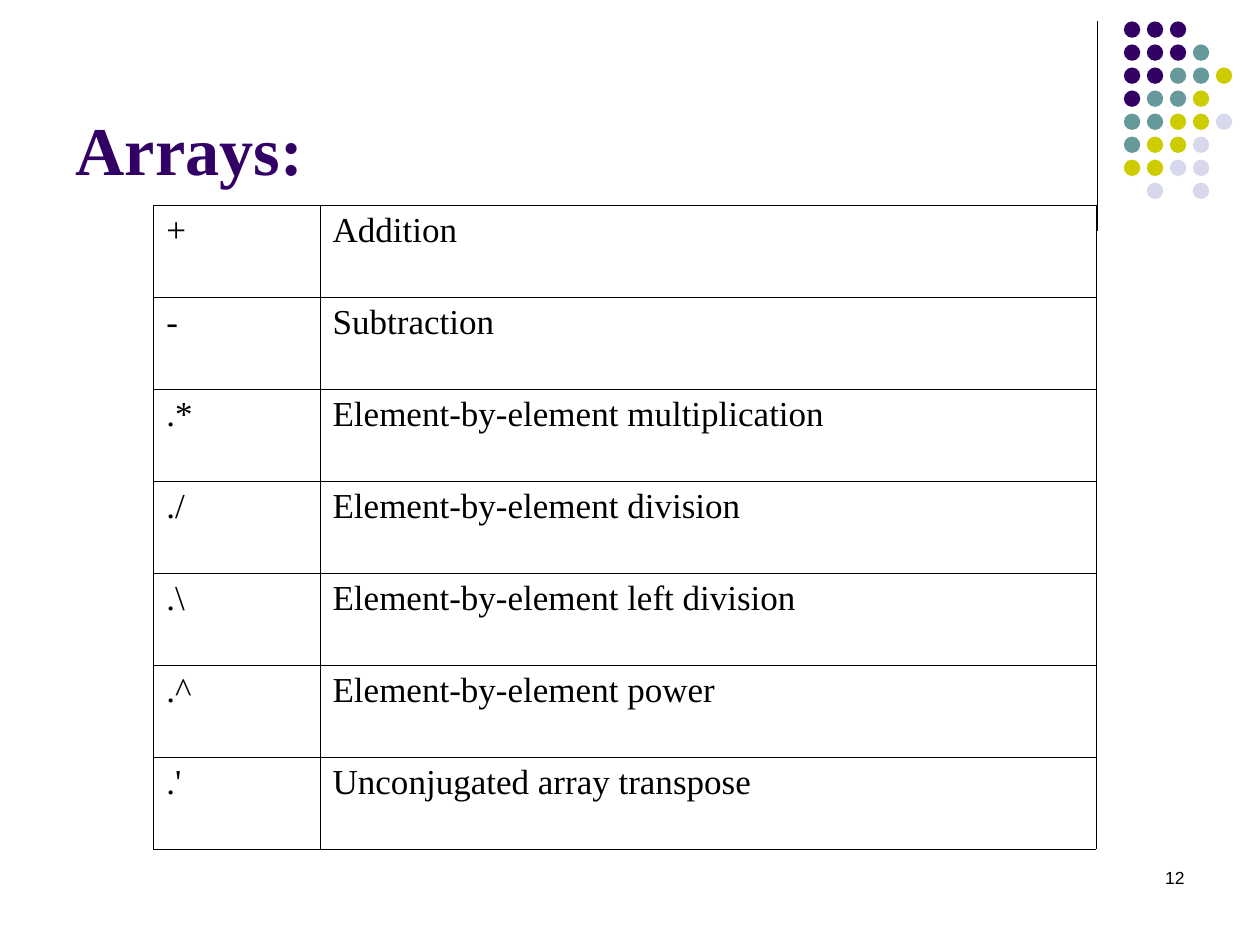
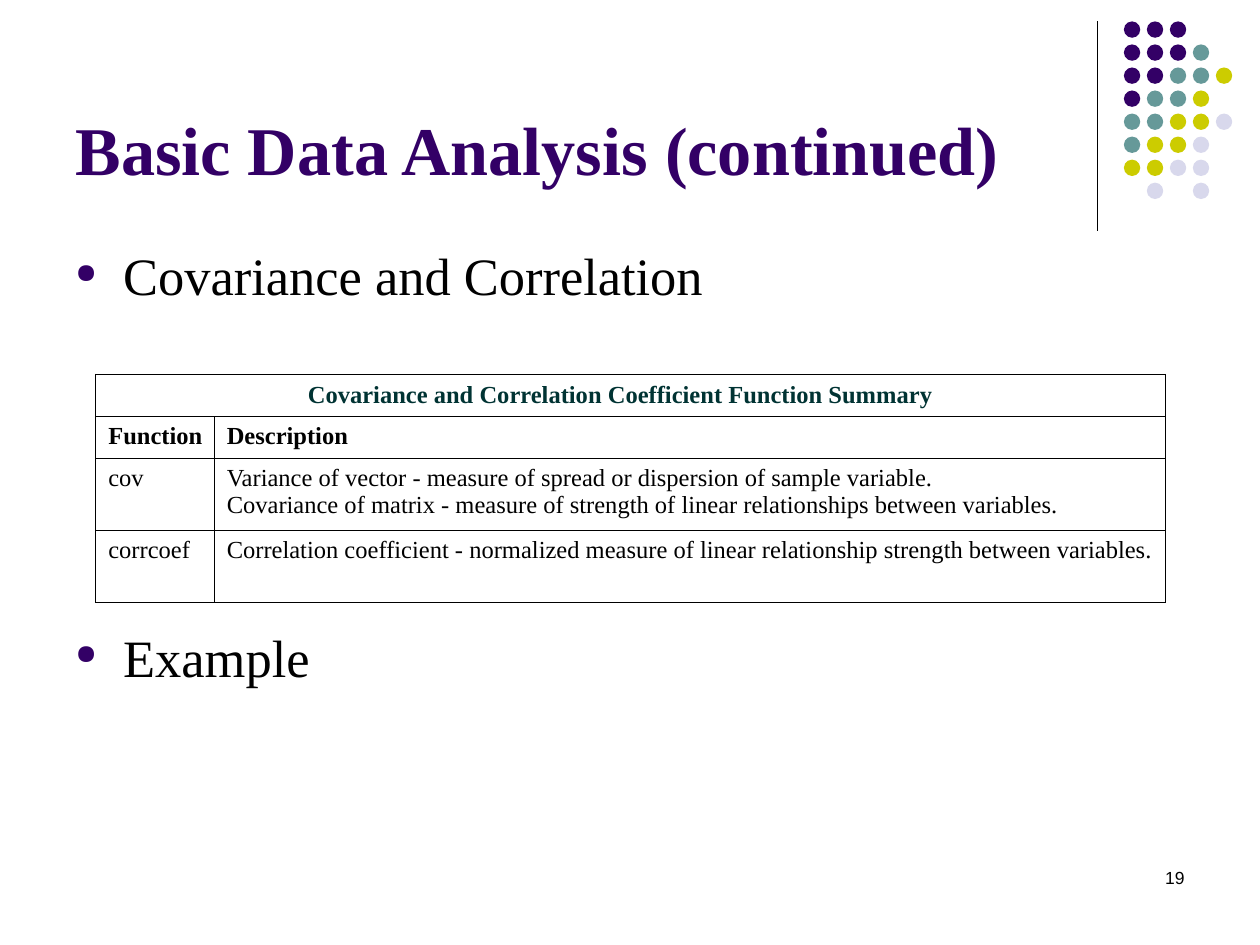
import pptx
import pptx.dml.color
import pptx.enum.shapes
import pptx.enum.text
import pptx.oxml.ns
import pptx.util
from lxml import etree
from pptx.util import Inches

PURPLE = "330066"
TEAL = "669999"
LIME = "CCCC00"
LAVENDER = "D8D8EC"
DARK_TEAL = "003333"
BLACK = "000000"
SERIF = "Times New Roman"
SANS = "Arial"

TITLE_BOX = (0.5, 0.13, 8.25, 1.42)
NUMBER_BOX = (7.17, 6.83, 2.33, 0.5)
DOTS_BOX = (8.92, 0.17, 0.86, 1.41)
DOT_SIZE = 0.13
DOT_COLOURS = {"P": PURPLE, "T": TEAL, "L": LIME, "V": LAVENDER}
DOT_ROWS = ["PPP  ", "PPPT ", "PPTTL", "PTTL ", "TTLLV", "TLLV ", "LLVV ", " V V "]

OPERATORS = [
    ("+", "Addition"),
    ("-", "Subtraction"),
    (".*", "Element-by-element multiplication"),
    ("./", "Element-by-element division"),
    (".\\", "Element-by-element left division"),
    (".^", "Element-by-element power"),
    (".'", "Unconjugated array transpose"),
]
FUNCTIONS = [
    ("Covariance and Correlation Coefficient Function Summary", ""),
    ("Function", "Description"),
    ("cov", "Variance of vector - measure of spread or dispersion of sample variable.\n"
            "Covariance of matrix - measure of strength of linear relationships between variables."),
    ("corrcoef", "Correlation coefficient - normalized measure of linear relationship strength "
                 "between variables."),
]


def colour(hex_string):
    return pptx.dml.color.RGBColor.from_string(hex_string)


def box_inches(box):
    return [Inches(length) for length in box]


def add_element(parent, tag, **attributes):
    return etree.SubElement(parent, pptx.oxml.ns.qn(tag), attributes)


def add_text(paragraph, text, size, hex_colour=BLACK, font=SERIF, bold=False):
    """Add one run per line of text, with line breaks between them."""
    for index, line in enumerate(text.split("\n")):
        if index:
            paragraph.add_line_break()
        run = paragraph.add_run()
        run.text = line
        run.font.size = pptx.util.Pt(size)
        run.font.name = font
        run.font.bold = bold
        run.font.color.rgb = colour(hex_colour)


def add_text_frame(slide, box):
    text_frame = slide.shapes.add_textbox(*box_inches(box)).text_frame
    text_frame.word_wrap = True
    return text_frame


def add_divider(slide, x, top, bottom):
    line = slide.shapes.add_connector(
        pptx.enum.shapes.MSO_CONNECTOR.STRAIGHT, *box_inches((x, top, x, bottom)))
    line.line.color.rgb = colour(BLACK)
    line.line.width = pptx.util.Pt(0.75)
    add_element(line._element.spPr, "a:effectLst")


def add_dots(slide, box):
    left, top, width, height = box
    column_step = (width - DOT_SIZE) / (len(DOT_ROWS[0]) - 1)
    row_step = (height - DOT_SIZE) / (len(DOT_ROWS) - 1)
    for row, letters in enumerate(DOT_ROWS):
        for column, letter in enumerate(letters):
            if letter not in DOT_COLOURS:
                continue
            dot = slide.shapes.add_shape(
                pptx.enum.shapes.MSO_SHAPE.OVAL,
                *box_inches((left + column * column_step, top + row * row_step,
                             DOT_SIZE, DOT_SIZE)))
            dot.shadow.inherit = False
            dot.fill.solid()
            dot.fill.fore_color.rgb = colour(DOT_COLOURS[letter])
            dot.line.fill.background()


def add_title(slide, box, text):
    title = slide.shapes.title
    title.left, title.top, title.width, title.height = box_inches(box)
    text_frame = title.text_frame
    text_frame.auto_size = pptx.enum.text.MSO_AUTO_SIZE.NONE
    text_frame.vertical_anchor = pptx.enum.text.MSO_ANCHOR.BOTTOM
    paragraph = text_frame.paragraphs[0]
    paragraph.alignment = pptx.enum.text.PP_ALIGN.LEFT
    add_text(paragraph, text, 39, PURPLE, bold=True)


def add_slide_number(slide, box, number):
    paragraph = add_text_frame(slide, box).paragraphs[0]
    paragraph.alignment = pptx.enum.text.PP_ALIGN.RIGHT
    add_text(paragraph, str(number), 10, font=SANS)


def add_base_slide(presentation, title, number):
    """Add a slide with the divider, dots, number and title that all slides share."""
    slide = presentation.slides.add_slide(presentation.slide_layouts[5])
    add_divider(slide, 8.71, 0.17, 1.83)
    add_dots(slide, DOTS_BOX)
    add_slide_number(slide, NUMBER_BOX, number)
    add_title(slide, TITLE_BOX, title)
    return slide


def format_cell(cell):
    """Give a cell thin black borders, no fill and a slightly narrow right margin."""
    properties = cell._tc.get_or_add_tcPr()
    for side in ("a:lnL", "a:lnR", "a:lnT", "a:lnB"):
        border = add_element(properties, side, w=str(pptx.util.Pt(0.34)))
        add_element(add_element(border, "a:solidFill"), "a:srgbClr", val=BLACK)
    cell.fill.background()
    cell.margin_right = Inches(0.08)


def add_grid(slide, box, column_widths, row_heights):
    table = slide.shapes.add_table(
        len(row_heights), len(column_widths), *box_inches(box)).table
    table.first_row = False
    table.horz_banding = False
    for column, width in zip(table.columns, column_widths):
        column.width = Inches(width)
    for row, height in zip(table.rows, row_heights):
        row.height = Inches(height)
    for cell in table.iter_cells():
        format_cell(cell)
    return table


def add_operator_table(slide, box):
    width, height = box[2:]
    row_heights = [height / len(OPERATORS)] * len(OPERATORS)
    table = add_grid(slide, box, [1.32, width - 1.32], row_heights)
    for row, texts in enumerate(OPERATORS):
        for column, text in enumerate(texts):
            add_text(table.cell(row, column).text_frame.paragraphs[0], text, 20)


def add_function_table(slide, box):
    table = add_grid(slide, box, [0.94, box[2] - 0.94], [0.33, 0.33, 0.57, 0.57])
    heading = table.cell(0, 0)
    heading.merge(table.cell(0, 1))
    heading.vertical_anchor = pptx.enum.text.MSO_ANCHOR.MIDDLE
    heading.margin_right = Inches(0.26)
    heading.text_frame.paragraphs[0].alignment = pptx.enum.text.PP_ALIGN.CENTER
    for row, texts in enumerate(FUNCTIONS):
        for column, text in enumerate(texts):
            if text:
                add_text(table.cell(row, column).text_frame.paragraphs[0], text, 14,
                         DARK_TEAL if row == 0 else BLACK, bold=row < 2)


def add_bullet(paragraph, text):
    properties = paragraph._p.get_or_add_pPr()
    indent = Inches(0.38)
    properties.set("marL", str(indent))
    properties.set("indent", str(-indent))
    add_element(add_element(properties, "a:buClr"), "a:srgbClr", val=PURPLE)
    add_element(properties, "a:buSzPct", val="52000")
    add_element(properties, "a:buChar", char="●")
    add_text(paragraph, text, 30)


def add_topics(slide, box, topics, gap):
    """Add bulleted topics with a gap in points that leaves room for a table."""
    text_frame = add_text_frame(slide, box)
    for index, topic in enumerate(topics):
        paragraph = text_frame.add_paragraph() if index else text_frame.paragraphs[0]
        if index:
            paragraph.space_before = pptx.util.Pt(gap)
        add_bullet(paragraph, topic)


def main():
    presentation = pptx.Presentation()
    presentation.slide_width = Inches(10)
    presentation.slide_height = Inches(7.5)

    arrays_slide = add_base_slide(presentation, "Arrays:", 12)
    add_operator_table(arrays_slide, (1.22, 1.63, 7.48, 5.11))

    analysis_slide = add_base_slide(presentation, "Basic Data Analysis (continued)", 19)
    add_topics(analysis_slide, (0.5, 1.88, 9, 4.82),
               ["Covariance and Correlation", "Example"], gap=182)
    add_function_table(analysis_slide, (0.76, 2.97, 8.49, 1.8))

    presentation.save("out.pptx")


if __name__ == "__main__":
    main()
